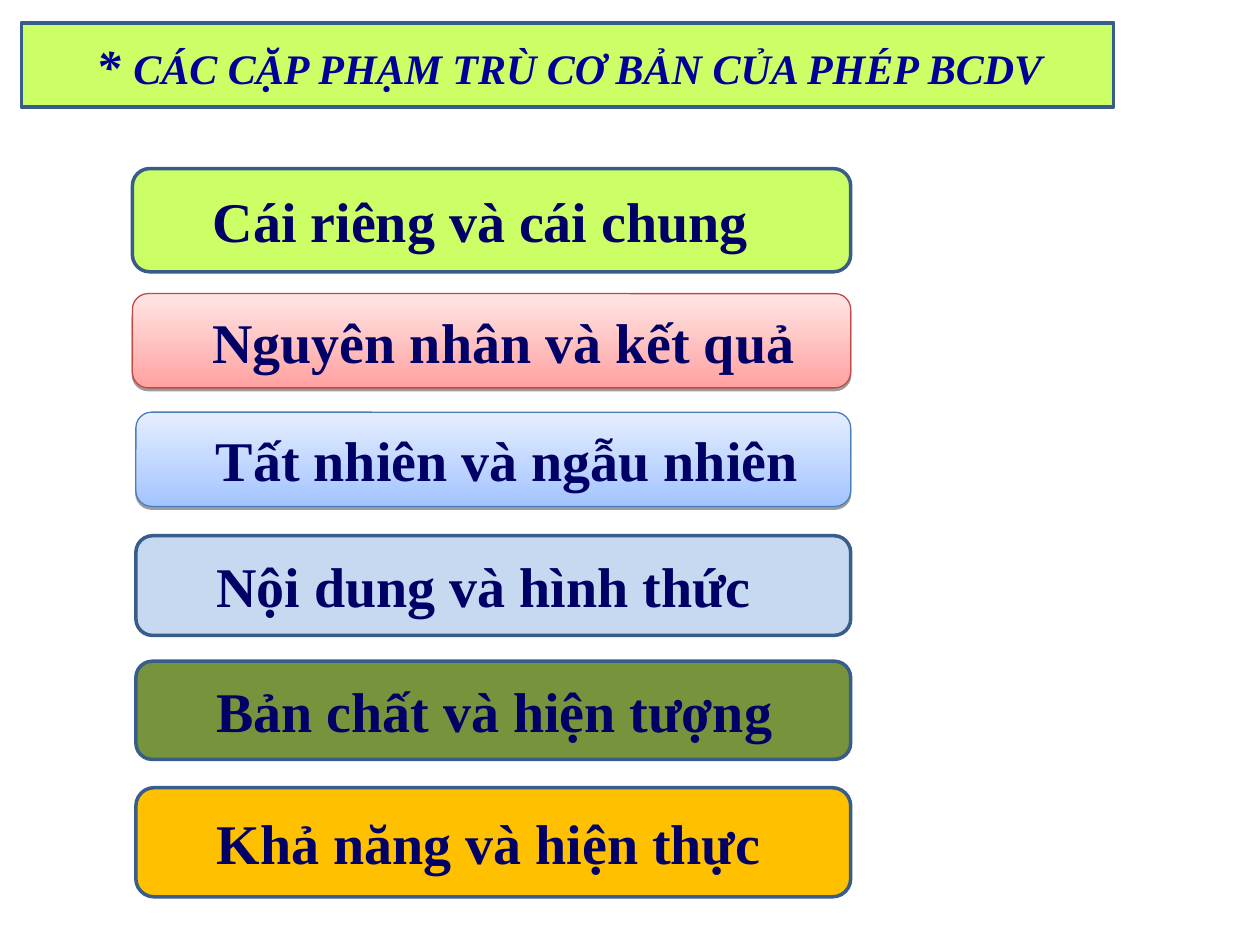
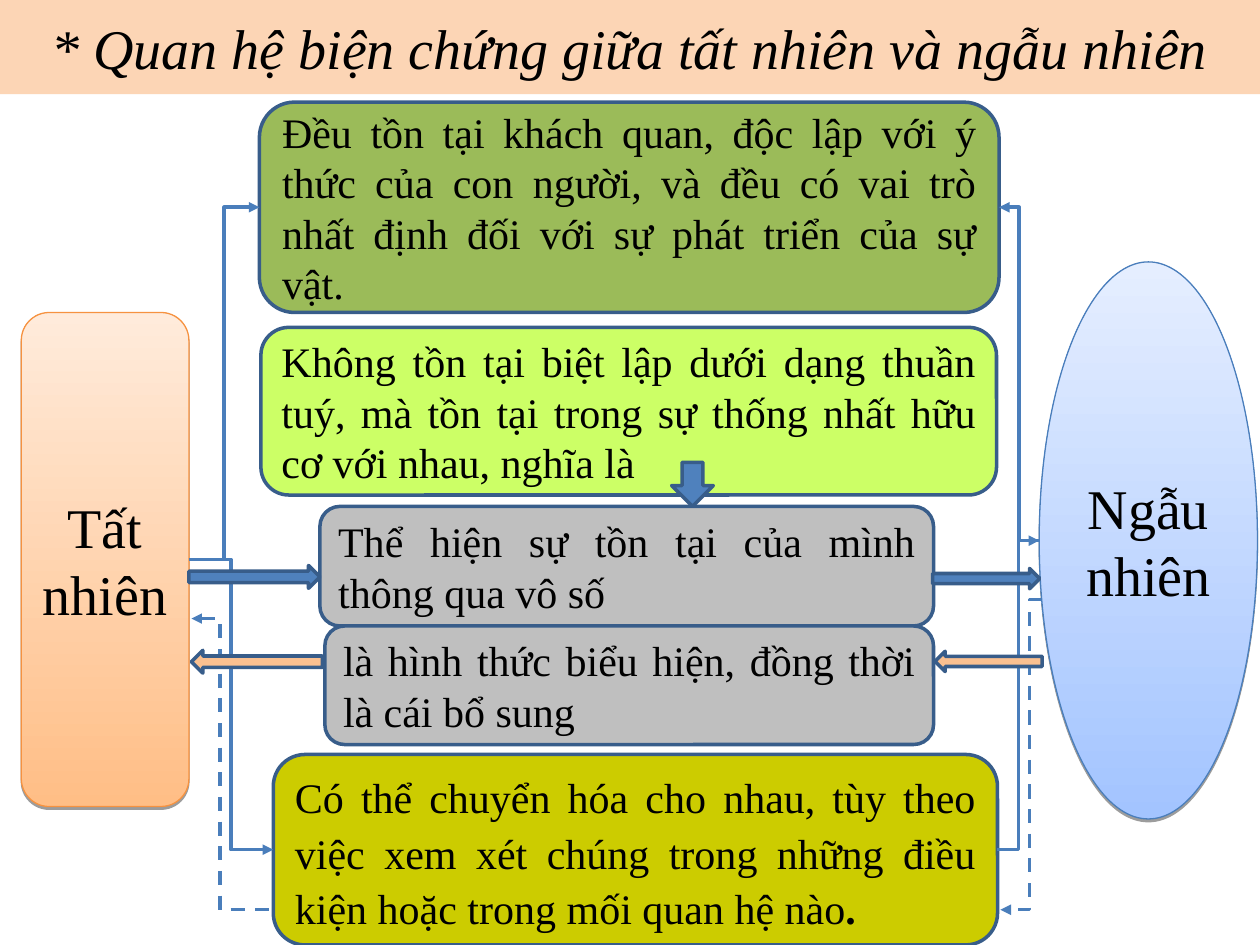
import pptx
import pptx.dml.color
import pptx.enum.shapes
import pptx.enum.text
import pptx.oxml
import pptx.oxml.ns
import pptx.util
from lxml import etree

Cm = pptx.util.Cm
Pt = pptx.util.Pt
SHAPE = pptx.enum.shapes.MSO_SHAPE
ALIGN = pptx.enum.text.PP_ALIGN
qn = pptx.oxml.ns.qn

NAVY, INK = "000066", "000000"
LIME, GREY = "CCFF66", "BFBFBF"
EDGE, BLUE_EDGE = "385D8A", "4A7EBB"
PINK_BLEND = ("FFA2A1", "FFE5E5")
BLUE_BLEND = ("A3C4FF", "E5EEFF")
ORANGE_BLEND = ("FFBE86", "FFEBDB")
ELBOW = pptx.enum.shapes.MSO_CONNECTOR.ELBOW


def colour(target, hex_code):
    target.rgb = pptx.dml.color.RGBColor.from_string(hex_code)


def dress(shape, fill, edge, runs=(), align=ALIGN.LEFT, **font_values):
    blended = isinstance(fill, tuple)
    if blended:
        shape.fill.gradient()
        shape.fill.gradient_angle = 90
        for stop, shade in zip(shape.fill.gradient_stops, fill):
            colour(stop.color, shade)
    else:
        shape.fill.solid()
        colour(shape.fill.fore_color, fill)
    if edge:
        colour(shape.line.color, edge)
        shape.line.width = Pt(0.75 if blended else 2)
    else:
        shape.line.fill.background()
    shape.shadow.inherit = False
    if blended:
        effects = shape.element.spPr.find(qn("a:effectLst"))
        shadow = etree.SubElement(effects, qn("a:outerShdw"), dist="20320", dir="5400000", rotWithShape="0")
        black = etree.SubElement(shadow, qn("a:srgbClr"), val=INK)
        etree.SubElement(black, qn("a:alpha"), val="38000")
    frame = shape.text_frame
    frame_format = {
        "word_wrap": True,
        "auto_size": pptx.enum.text.MSO_AUTO_SIZE.NONE,
        "vertical_anchor": pptx.enum.text.MSO_ANCHOR.MIDDLE,
        "margin_left": Cm(0.25), "margin_right": Cm(0.25),
        "margin_top": Cm(0.13), "margin_bottom": Cm(0.13),
    }
    for name, value in frame_format.items():
        setattr(frame, name, value)
    paragraph = frame.paragraphs[0]
    paragraph.alignment = align
    for words, changes in runs:
        run = paragraph.add_run()
        run.text = words
        values = {"name": "Times New Roman", "bold": False, "italic": False, "ink": INK}
        values.update(font_values)
        values.update(changes)
        colour(run.font.color, values.pop("ink"))
        for name, value in values.items():
            setattr(run.font, name, value)


deck = pptx.Presentation()
deck.slide_width, deck.slide_height = Cm(25.4), Cm(19.05)
title_only = deck.slide_layouts[5]

categories = deck.slides.add_slide(title_only)
heading = categories.shapes.title
heading.left, heading.top, heading.width, heading.height = Cm(0.43), Cm(0.46), Cm(22.02), Cm(1.7)
outline = etree.Element(qn("a:prstGeom"), prst="roundRect")
etree.SubElement(outline, qn("a:avLst"))
heading.element.spPr.insert(1, outline)
dress(heading, LIME, EDGE,
      [("* ", {"size": Pt(28)}), ("CÁC CẶP PHẠM TRÙ CƠ BẢN CỦA PHÉP BCDV", {})],
      size=Pt(24), bold=True, italic=True, ink="000099")
heading.text_frame.paragraphs[0]._p.get_or_add_pPr().set("marL", str(Cm(1.27)))

right_edge = 17.15
pairs = [
    ("Cái riêng và cái chung", 2.67, 3.4, 2.08, LIME, EDGE),
    ("Nguyên nhân và kết quả", 2.67, 5.92, 1.9, PINK_BLEND, "BE4B48"),
    ("Tất nhiên và ngẫu nhiên", 2.74, 8.31, 1.9, BLUE_BLEND, BLUE_EDGE),
    ("Nội dung và hình thức", 2.74, 10.8, 2.01, "C6D9F1", EDGE),
    ("Bản chất và hiện tượng", 2.74, 13.33, 1.98, "77933C", EDGE),
    ("Khả năng và hiện thực", 2.74, 15.88, 2.2, "FFC000", EDGE),
]
for words, left, top, height, fill, edge in pairs:
    pair = categories.shapes.add_shape(
        SHAPE.ROUNDED_RECTANGLE, Cm(left), Cm(top), Cm(right_edge - left), Cm(height))
    dress(pair, fill, edge, [(words, {})], size=Pt(32), bold=True, ink=NAVY)
    pair.text_frame.paragraphs[0]._p.get_or_add_pPr().set("marL", str(Cm(1.27)))

relation = deck.slides.add_slide(title_only)
heading = relation.shapes.title
heading.left, heading.top, heading.width, heading.height = 0, 0, deck.slide_width, Cm(1.9)
dress(heading, "FCD5B5", None, [("* Quan hệ biện chứng giữa tất nhiên và ngẫu nhiên", {})],
      ALIGN.CENTER, size=Pt(32), italic=True)

chance = relation.shapes.add_shape(SHAPE.OVAL, Cm(20.95), Cm(5.28), Cm(4.4), Cm(11.23))
dress(chance, BLUE_BLEND, BLUE_EDGE, [("Ngẫu nhiên", {})], ALIGN.CENTER, size=Pt(32))
necessity = relation.shapes.add_shape(SHAPE.ROUNDED_RECTANGLE, Cm(0.43), Cm(6.3), Cm(3.38), Cm(9.96))
dress(necessity, ORANGE_BLEND, "F69240", [("Tất nhiên", {})], ALIGN.CENTER, size=Pt(32))
necessity.text_frame.margin_left = necessity.text_frame.margin_right = Cm(0.1)

statements = [
    (5.23, 2.06, 14.91, 4.24, "9BBB59",
     [("Đều tồn tại khách quan, độc lập với ý thức của con người, và đều có vai trò "
       "nhất định đối với sự phát triển của sự vật.", {})]),
    (5.26, 6.6, 14.83, 3.38, LIME,
     [("Không tồn tại biệt lập dưới dạng thuần tuý, mà tồn tại trong sự thống nhất "
       "hữu cơ với nhau, nghĩa là", {})]),
    (6.45, 10.21, 12.37, 2.41, GREY, [("Thể hiện sự tồn tại của mình thông qua vô số", {})]),
    (6.55, 12.62, 12.27, 2.39, GREY, [("là hình thức biểu hiện, đồng thời là cái bổ sung", {})]),
    (5.51, 15.21, 14.6, 3.84, "CCCC00",
     [("Có thể chuyển hóa cho nhau, tùy theo việc xem xét chúng trong những điều kiện "
       "hoặc trong mối quan hệ nào", {}), (".", {"bold": True})]),
]
boxes = []
for left, top, width, height, fill, runs in statements:
    box = relation.shapes.add_shape(
        SHAPE.ROUNDED_RECTANGLE, Cm(left), Cm(top), Cm(width), Cm(height))
    dress(box, fill, EDGE, runs, ALIGN.JUSTIFY, size=Pt(24))
    boxes.append(box)
objective, conversion = boxes[0], boxes[-1]
conversion.text_frame.paragraphs[0].line_spacing = 1.1

links = [
    (3.81, 11.28, 5.51, 17.13, "tailEnd", 0.5, False, (necessity, 3), (conversion, 1)),
    (3.81, 11.28, 5.23, 4.18, "tailEnd", 0.5, False, (necessity, 3), (objective, 1)),
    (20.95, 10.9, 20.11, 17.13, "headEnd", 0.5, False, None, (conversion, 3)),
    (20.95, 10.9, 20.14, 4.18, "tailEnd", 0.5, False, None, (objective, 3)),
    (3.86, 12.47, 5.56, 18.34, "headEnd", 0.34, True, None, None),
    (21.01, 12.09, 20.17, 18.34, "tailEnd", 0.3, True, None, None),
]
for x1, y1, x2, y2, arrow_end, bend, dashed, start, finish in links:
    link = relation.shapes.add_connector(ELBOW, Cm(x1), Cm(y1), Cm(x2), Cm(y2))
    if start:
        link.begin_connect(*start)
    if finish:
        link.end_connect(*finish)
    colour(link.line.color, BLUE_EDGE)
    link.line.width = Pt(2)
    if dashed:
        link.line.dash_style = pptx.enum.dml.MSO_LINE.DASH
    properties = link.element.spPr
    etree.SubElement(properties.find(qn("a:ln")), qn("a:" + arrow_end), type="triangle")
    etree.SubElement(properties, qn("a:effectLst"))
    guides = properties.find(qn("a:prstGeom")).find(qn("a:avLst"))
    etree.SubElement(guides, qn("a:gd"), name="adj1", fmla=f"val {round(bend * 100000)}")

arrows = [
    (SHAPE.RIGHT_ARROW, 3.81, 11.4, 2.64, 0.46, "4F81BD"),
    (SHAPE.RIGHT_ARROW, 18.8, 11.46, 2.16, 0.41, "4F81BD"),
    (SHAPE.LEFT_ARROW, 3.86, 13.11, 2.64, 0.46, "FAC090"),
    (SHAPE.LEFT_ARROW, 18.85, 13.13, 2.16, 0.41, "FAC090"),
    (SHAPE.DOWN_ARROW, 13.54, 9.32, 0.84, 0.89, "4F81BD"),
]
for direction, left, top, width, height, fill in arrows:
    arrow = relation.shapes.add_shape(direction, Cm(left), Cm(top), Cm(width), Cm(height))
    dress(arrow, fill, EDGE)

deck.save("out.pptx")
